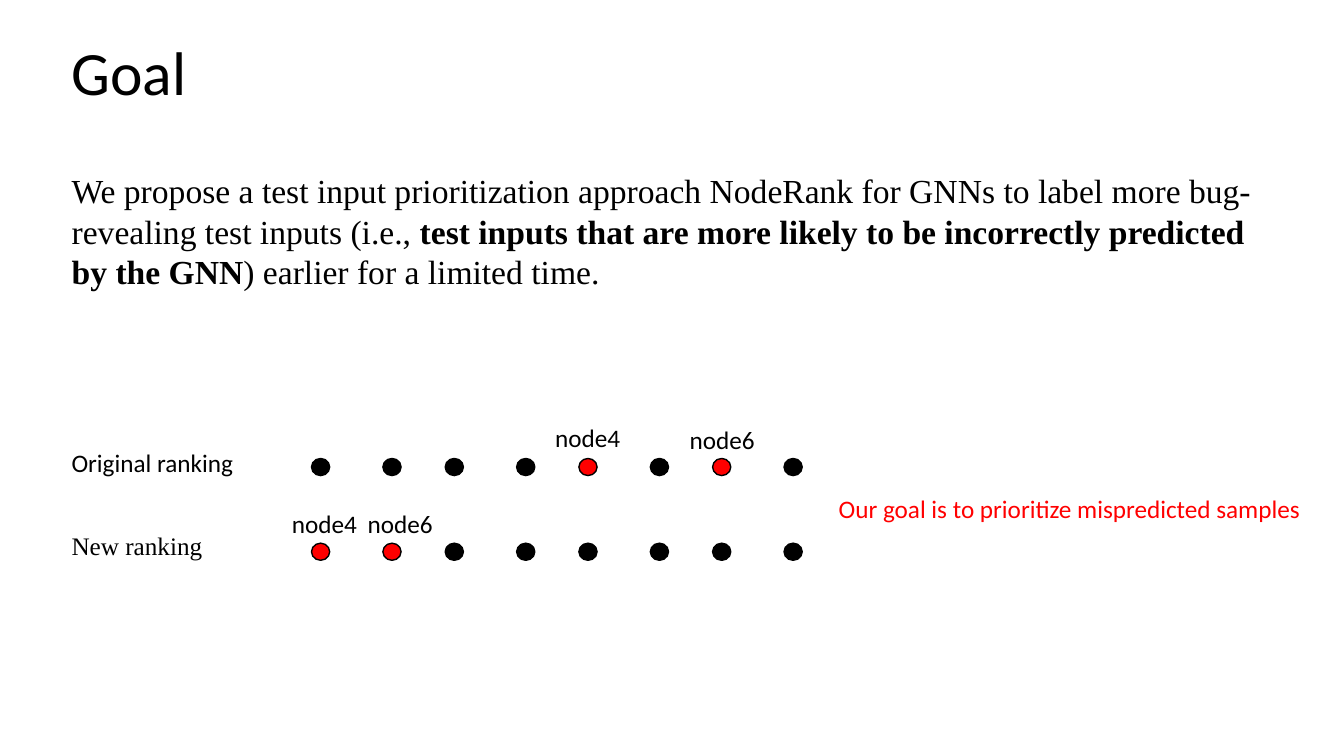
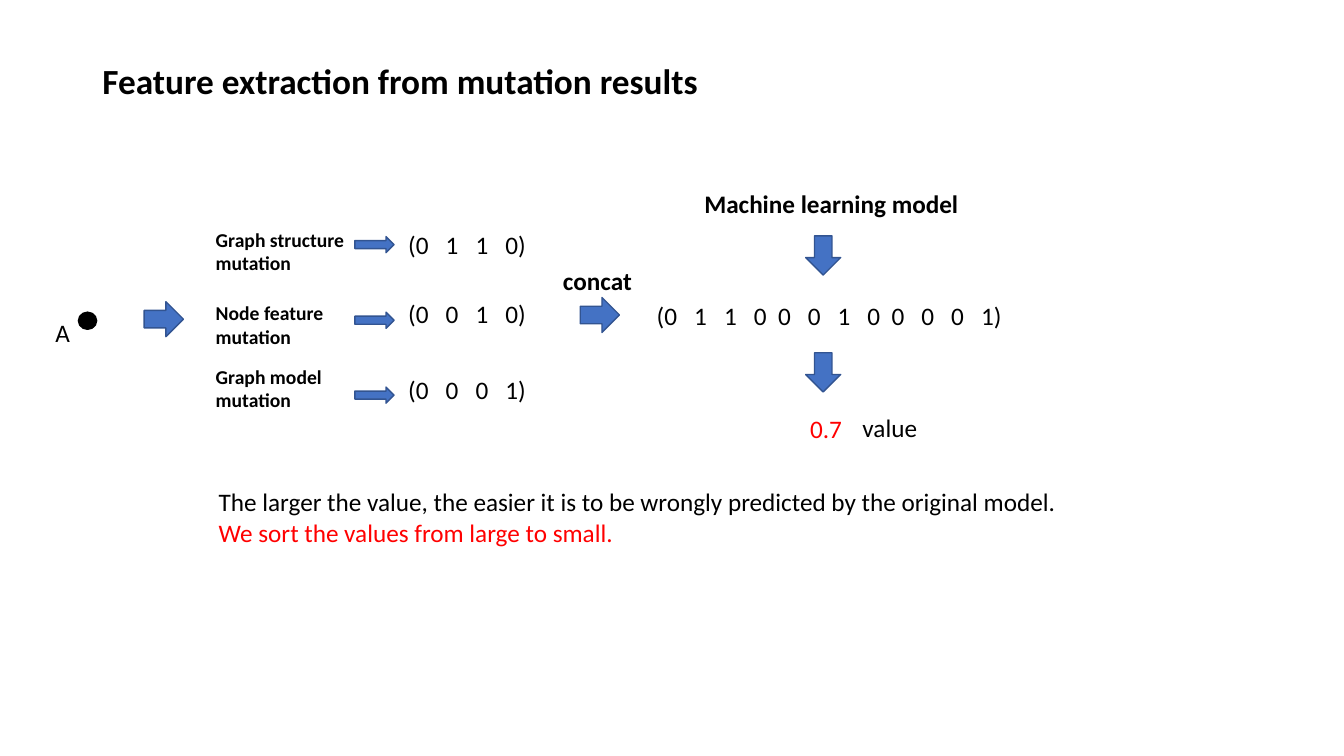
from lxml.etree import SubElement
from pptx import Presentation
from pptx.dml.color import RGBColor
from pptx.enum.shapes import MSO_SHAPE
from pptx.enum.text import MSO_ANCHOR, MSO_AUTO_SIZE, PP_ALIGN
from pptx.oxml.ns import qn
from pptx.util import Pt

BLACK, RED, BLUE, NAVY = "000000", "FF0000", "4472C4", "325491"
SANS, SERIF = "Calibri", "Times New Roman"

# Slide 1: paragraph as (text, bold) runs
GOAL = [
    ("We propose a test input prioritization approach NodeRank for GNNs to label more "
     "bug-revealing test inputs (i.e., ", False),
    ("test inputs that are more likely to be incorrectly predicted by the GNN", True),
    (") earlier for a limited time.", False),
]
DOT_COUNT = 8
# name, font, name top, dot top, {mispredicted dot: (label, left, top)}
RANKINGS = [
    ("Original ranking", SANS, 316, 327.5,
     {4: ("node4", 389.5, 298), 6: ("node6", 485.5, 299.5)}),
    ("New ranking", SERIF, 375, 388,
     {0: ("node4", 201.5, 359.5), 1: ("node6", 255.5, 359.5)}),
]

# Slide 2: mutation, result vector, tops of name, vector and arrow
MUTATIONS = [
    ("Graph structure", "0110", 159, 160, 169),
    ("Node feature", "0010", 211.5, 209.5, 223),
    ("Graph model", "0001", 257, 263.5, 276.5),
]
# text, left, top, width, colour, bold
LABELS = [
    ("A", 32.5, 223, 28, BLACK, False),
    ("concat", 395, 186, 74, BLACK, True),
    ("Machine learning model", 496, 131, 200, BLACK, True),
    ("0.7", 571.5, 291.5, 40, RED, False),
    ("value", 609, 291, 56, BLACK, False),
]
# left, top, rotation
BIG_ARROWS = [(103, 215.5, 0), (414.5, 212.5, 0), (574, 170, 90), (574, 253.5, 90)]
CONCLUSION = [
    ("The larger the value, the easier it is to be wrongly predicted by the original model.",
     BLACK),
    ("We sort the values from large to small.", RED),
]
PAREN, DIGIT_STEP, GROUP_STEP = 5.5, 21.3, 17.25


def rgb(color):
    return RGBColor.from_string(color)


def style(p, size, color=BLACK, bold=None, font=SANS):
    for r in p.runs:
        r.font.name, r.font.size = font, Pt(size)
        r.font.color.rgb = rgb(color)
        if bold is not None:
            r.font.bold = bold


def place(shape, left, top, width, height):
    shape.left, shape.top, shape.width, shape.height = map(Pt, (left, top, width, height))


def add_label(s, text, left, top, width, size=18, **look):
    lines = text.split("\n")
    box = s.shapes.add_textbox(Pt(left), Pt(top), Pt(width), Pt(7 + 1.22 * size * len(lines)))
    tf = box.text_frame
    tf.word_wrap = True
    tf.text = text
    for p in tf.paragraphs:
        style(p, size, **look)
    return tf.paragraphs[0]


def add_shape(s, kind, left, top, width, height, fill, line):
    shape = s.shapes.add_shape(kind, Pt(left), Pt(top), Pt(width), Pt(height))
    shape.shadow.inherit = False
    shape.fill.solid()
    shape.fill.fore_color.rgb = rgb(fill)
    shape.line.color.rgb = rgb(line)
    shape.line.width = Pt(1)
    return shape


def add_dot(s, left, top, fill=BLACK):
    add_shape(s, MSO_SHAPE.OVAL, left, top, 13, 12.25, fill, BLACK)


def add_arrow(s, left, top, height, rotation=0):
    arrow = add_shape(s, MSO_SHAPE.RIGHT_ARROW, left, top, 28, height, BLUE, NAVY)
    arrow.rotation = rotation


def add_vector(s, groups, left, top, width):
    """Write digits at tab stops, a little closer where two groups meet."""
    p = add_label(s, "(" + "\t".join("".join(groups)) + ")", left, top, width)
    stops = SubElement(p._p.get_or_add_pPr(), qn("a:tabLst"))
    x = PAREN
    for g, group in enumerate(groups):
        for d in range(len(group)):
            if g or d:
                x += DIGIT_STEP if d else GROUP_STEP
                SubElement(stops, qn("a:tab"), pos=str(int(Pt(x))), algn="l")


def add_slide(prs, title, title_box, body_box, size, bold=False, spacing=1.0):
    """Add a titled slide and return it with its body text frame."""
    s = prs.slides.add_slide(prs.slide_layouts[1])
    body = s.placeholders[1]
    for shape, box in ((s.shapes.title, title_box), (body, body_box)):
        place(shape, *box)
        shape.text_frame.word_wrap = True
        shape.text_frame.auto_size = MSO_AUTO_SIZE.NONE
    tf = s.shapes.title.text_frame
    tf.text = title
    tf.vertical_anchor = MSO_ANCHOR.MIDDLE
    p = tf.paragraphs[0]
    p.alignment, p.line_spacing = PP_ALIGN.LEFT, spacing
    style(p, size, bold=bold)
    return s, body.text_frame


def make_plain(p):
    """Remove the bullet, indent and gap of a body paragraph."""
    p.space_before = Pt(0)
    pPr = p._p.get_or_add_pPr()
    pPr.set("marL", "0")
    pPr.set("indent", "0")
    SubElement(pPr, qn("a:buNone"))


def add_goal_slide(prs):
    s, tf = add_slide(prs, "Goal", (44, 20, 110, 60.5), (44, 118, 874, 94.5), 44)
    p = tf.paragraphs[0]
    make_plain(p)
    for text, bold in GOAL:
        r = p.add_run()
        r.text, r.font.bold = text, bold
    style(p, 24, font=SERIF)
    for name, font, name_top, dot_top, marked in RANKINGS:
        add_label(s, name, 44, name_top, 140, font=font)
        for i in range(DOT_COUNT):
            left = 222.5 + 95.5 * (i // 2) + 51 * (i % 2)
            add_dot(s, left, dot_top, RED if i in marked else BLACK)
        for text, left, top in marked.values():
            add_label(s, text, left, top, 66)
    add_label(s, "Our goal is to prioritize mispredicted samples", 592, 348.5, 355, color=RED)


def add_feature_slide(prs):
    s, tf = add_slide(prs, "Feature extraction from mutation results",
                      (66, 29, 452, 60), (149, 344, 625, 51), 25.2, True, 0.9)
    for i, (text, color) in enumerate(CONCLUSION):
        p = tf.add_paragraph() if i else tf.paragraphs[0]
        p.text = text
        make_plain(p)
        style(p, 18, color)
    add_dot(s, 56, 223)
    for name, vector, name_top, vector_top, arrow_top in MUTATIONS:
        add_label(s, name + "\nmutation", 147, name_top, 110, 14, bold=True)
        add_vector(s, [vector], 284.5, vector_top, 105)
        add_arrow(s, 253.5, arrow_top, 11.5)
    add_vector(s, [m[1] for m in MUTATIONS], 462, 211, 270)
    for text, left, top, width, color, bold in LABELS:
        add_label(s, text, left, top, width, color=color, bold=bold)
    for left, top, rotation in BIG_ARROWS:
        add_arrow(s, left, top, 25, rotation)


def main():
    prs = Presentation()
    prs.slide_width, prs.slide_height = Pt(960), Pt(540)
    add_goal_slide(prs)
    add_feature_slide(prs)
    prs.save("out.pptx")


if __name__ == "__main__":
    main()
